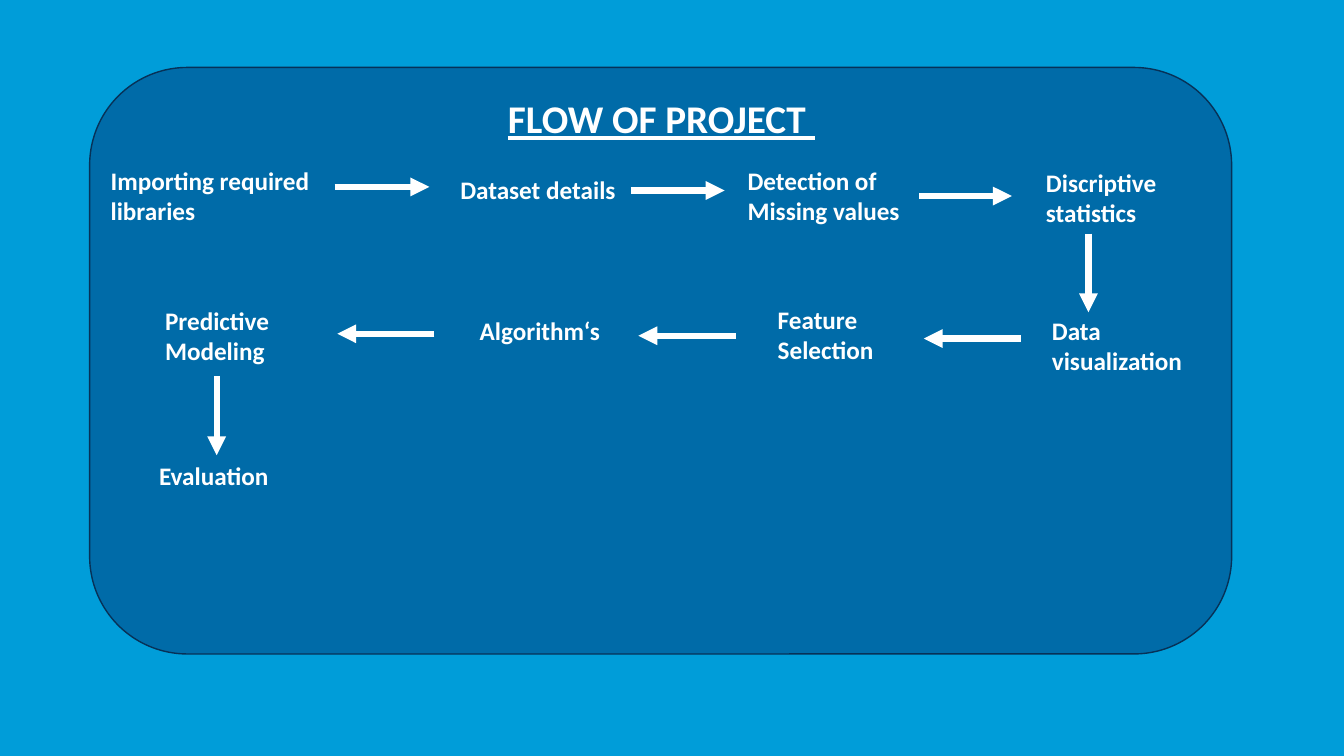
from lxml.etree import SubElement
from pptx import Presentation
from pptx.dml.color import RGBColor
from pptx.enum.shapes import MSO_CONNECTOR, MSO_SHAPE
from pptx.enum.text import MSO_AUTO_SIZE, PP_ALIGN
from pptx.oxml.ns import qn
from pptx.util import Cm, Pt

SKY = RGBColor(0x00, 0x9D, 0xD9)
NAVY = RGBColor(0x00, 0x20, 0x60)
OUTLINE = RGBColor(0x07, 0x31, 0x57)
WHITE = RGBColor(0xFF, 0xFF, 0xFF)

TITLE = "FLOW OF PROJECT "
# text, left, top, width, lines shown
STEPS = [
    ("Importing required\nlibraries", 2.54, 4.04, 5.89, 2),
    ("Dataset details", 11.35, 4.27, 5.36, 1),
    ("Detection of Missing values", 18.59, 4.04, 4.57, 2),
    ("Discriptive statistics", 26.11, 4.09, 4.78, 2),
    ("Data visualization", 26.26, 7.82, 4.78, 2),
    ("Feature\nSelection", 19.35, 7.54, 3.3, 2),
    ("Algorithm‘s", 11.84, 7.82, 3.89, 1),
    ("Predictive\nModeling", 3.91, 7.57, 3.84, 2),
    ("Evaluation", 3.76, 11.48, 3.71, 1),
]
# start x, start y, horizontal run, vertical run
ARROWS = [
    (8.43, 4.71, 2.39, 0),
    (15.9, 4.8, 2.36, 0),
    (23.16, 4.94, 2.34, 0),
    (27.43, 5.89, 0, 1.98),
    (25.73, 8.53, -2.45, 0),
    (18.54, 8.46, -2.45, 0),
    (10.95, 8.41, -2.45, 0),
    (5.46, 9.47, 0, 2.0),
]
LINE_HEIGHTS = {1: 1.02, 2: 1.8}
RIGHT_SIDE = 3
DETECTION = 2


def add_text(page, text, left, top, width, height, size):
    box = page.shapes.add_textbox(Cm(left), Cm(top), Cm(width), Cm(height))
    frame = box.text_frame
    frame.word_wrap = True
    frame.auto_size = MSO_AUTO_SIZE.SHAPE_TO_FIT_TEXT
    frame.text = text
    for para in frame.paragraphs:
        for span in para.runs:
            span.font.name = "Calibri"
            span.font.size = Pt(size)
            span.font.bold = True
            span.font.color.rgb = WHITE
    return box


def add_arrow(page, x, y, run, drop):
    arrow = page.shapes.add_connector(
        MSO_CONNECTOR.STRAIGHT, Cm(x), Cm(y), Cm(x + run), Cm(y + drop))
    arrow.line.color.rgb = WHITE
    arrow.line.width = Pt(4.5)
    SubElement(arrow.line._get_or_add_ln(), qn("a:tailEnd"), type="triangle")
    SubElement(arrow._element.spPr, qn("a:effectLst"))
    return arrow


def add_panel(page):
    panel = page.shapes.add_shape(
        MSO_SHAPE.ROUNDED_RECTANGLE, Cm(2.26), Cm(1.7), Cm(28.78), Cm(14.78))
    panel.shadow.inherit = False
    panel.fill.solid()
    panel.fill.fore_color.rgb = NAVY
    color = panel._element.spPr.find(qn("a:solidFill")).find(qn("a:srgbClr"))
    SubElement(color, qn("a:alpha"), val="40000")
    panel.line.color.rgb = OUTLINE
    panel.line.width = Pt(1)


def main():
    deck = Presentation()
    deck.slide_width, deck.slide_height = Cm(33.87), Cm(19.05)
    page = deck.slides.add_slide(deck.slide_layouts[6])
    page.background.fill.solid()
    page.background.fill.fore_color.rgb = SKY

    add_panel(page)
    title = add_text(page, TITLE, 6.43, 2.26, 20.47, 1.44, 28)
    heading = title.text_frame.paragraphs[0]
    heading.alignment = PP_ALIGN.CENTER
    heading.runs[0].font.underline = True

    boxes = [add_text(page, text, left, top, width, LINE_HEIGHTS[lines], 18)
             for text, left, top, width, lines in STEPS]
    arrows = [add_arrow(page, *arrow) for arrow in ARROWS]
    arrows[DETECTION].begin_connect(boxes[DETECTION], RIGHT_SIDE)
    arrows[DETECTION].end_y = arrows[DETECTION].begin_y

    deck.save("out.pptx")


if __name__ == "__main__":
    main()
